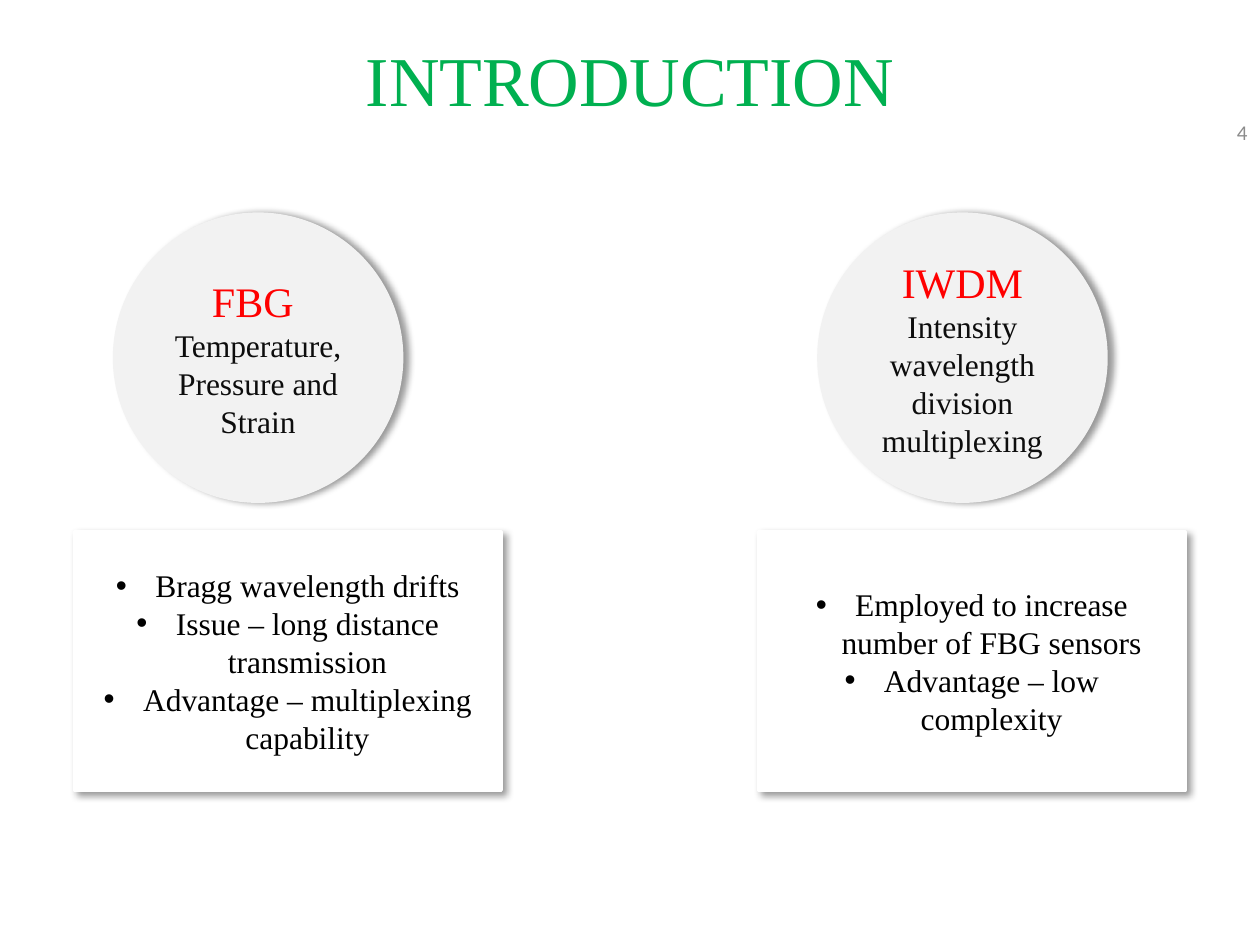
from lxml.etree import SubElement as Sub
from pptx import Presentation
from pptx.dml.color import RGBColor
from pptx.enum.shapes import MSO_SHAPE as Kind
from pptx.enum.text import MSO_ANCHOR as Anchor, PP_ALIGN as Align
from pptx.oxml import parse_xml
from pptx.oxml.ns import nsdecls, qn
from pptx.util import Pt


def paint(fill, tone):
    fill.solid()
    fill.fore_color.rgb = RGBColor.from_string(tone)


class Deck:
    serif, sans = "Times New Roman", "Calibri"
    green, red, grey = "00B050", "FF0000", "8C8C8C"
    ink, black, pale, white = "0D0D0D", "000000", "F2F2F2", "FFFFFF"
    big, head, body, small = 40, 24, 18, 12

    def __init__(self):
        self.prs = Presentation()
        self.prs.slide_width, self.prs.slide_height = Pt(720), Pt(540)
        self.slide = self.prs.slides.add_slide(self.prs.slide_layouts[6])
        paint(self.slide.background.fill, self.white)

    def run(self, para, text, size, tone, face=serif, edge=False):
        """Add one run; edge outlines its letters in their own colour."""
        run = para.add_run()
        run.text = text
        run.font.size, run.font.name = Pt(size), face
        paint(run.font.fill, tone)
        if edge:
            run.font._element.insert(0, parse_xml(
                f'<a:ln {nsdecls("a")} w="{Pt(0.75)}"><a:solidFill>'
                f'<a:srgbClr val="{tone}"/></a:solidFill></a:ln>'))

    def frame(self, shape):
        frame = shape.text_frame
        frame.word_wrap = True
        frame.vertical_anchor = Anchor.MIDDLE
        return frame

    def label(self, box, text, size, tone, face=serif, align=Align.CENTER,
              edge=False):
        frame = self.frame(self.slide.shapes.add_textbox(*map(Pt, box)))
        para = frame.paragraphs[0]
        para.alignment = align
        self.run(para, text, size, tone, face, edge)

    def shade(self, shape, angle):
        shape.shadow.inherit = False
        glow = shape._element.spPr.find(qn("a:effectLst"))
        glow.append(parse_xml(
            f'<a:outerShdw {nsdecls("a")} blurRad="{Pt(4)}" dist="{Pt(3)}" '
            f'dir="{angle * 60000}" algn="l" rotWithShape="0">'
            f'<a:srgbClr val="{self.black}"><a:alpha val="40000"/>'
            '</a:srgbClr></a:outerShdw>'))

    def panel(self, kind, box, tone, angle):
        """Draw a shadowed shape and return its text frame."""
        shape = self.slide.shapes.add_shape(kind, *map(Pt, box))
        paint(shape.fill, tone)
        paint(shape.line.fill, tone)
        shape.line.width = Pt(2)
        self.shade(shape, angle)
        return self.frame(shape)

    def disc(self, left, title, text):
        frame = self.panel(Kind.OVAL, (left, 122.4, 164, 164), self.pale, 0)
        top, low = frame.paragraphs[0], frame.add_paragraph()
        top.alignment = low.alignment = Align.CENTER
        self.run(top, title, self.head, self.red, edge=True)
        self.run(low, text, self.body, self.ink)

    def card(self, left, points):
        frame = self.panel(Kind.RECTANGLE, (left, 303.8, 244, 147.6),
                           self.white, 45)
        for i, text in enumerate(points):
            para = frame.add_paragraph() if i else frame.paragraphs[0]
            para.alignment = Align.CENTER
            self.dot(para)
            self.run(para, text, self.body, self.black)

    def dot(self, para):
        """Give the paragraph a hanging bullet."""
        props = para._p.get_or_add_pPr()
        props.set("marL", str(Pt(22.5)))
        props.set("indent", str(-Pt(22.5)))
        Sub(props, qn("a:buFont")).set("typeface", "Arial")
        Sub(props, qn("a:buChar")).set("char", "•")


def main():
    deck = Deck()
    deck.label((8.6, 0, 702.8, 90), "INTRODUCTION", deck.big, deck.green,
               edge=True)
    deck.label((552, 61.2, 168, 28.8), "4", deck.small, deck.grey,
               deck.sans, Align.RIGHT)
    topics = [
        (65.5, 42.5, "FBG ", "Temperature, Pressure and Strain",
         ["Bragg wavelength drifts", "Issue – long distance transmission",
          "Advantage – multiplexing capability"]),
        (468, 433.4, "IWDM", "Intensity wavelength division multiplexing",
         ["Employed to increase number of FBG sensors",
          "Advantage – low complexity"]),
    ]
    for disc, card, title, text, points in topics:
        deck.disc(disc, title, text)
        deck.card(card, points)
    deck.prs.save("out.pptx")


if __name__ == "__main__":
    main()
